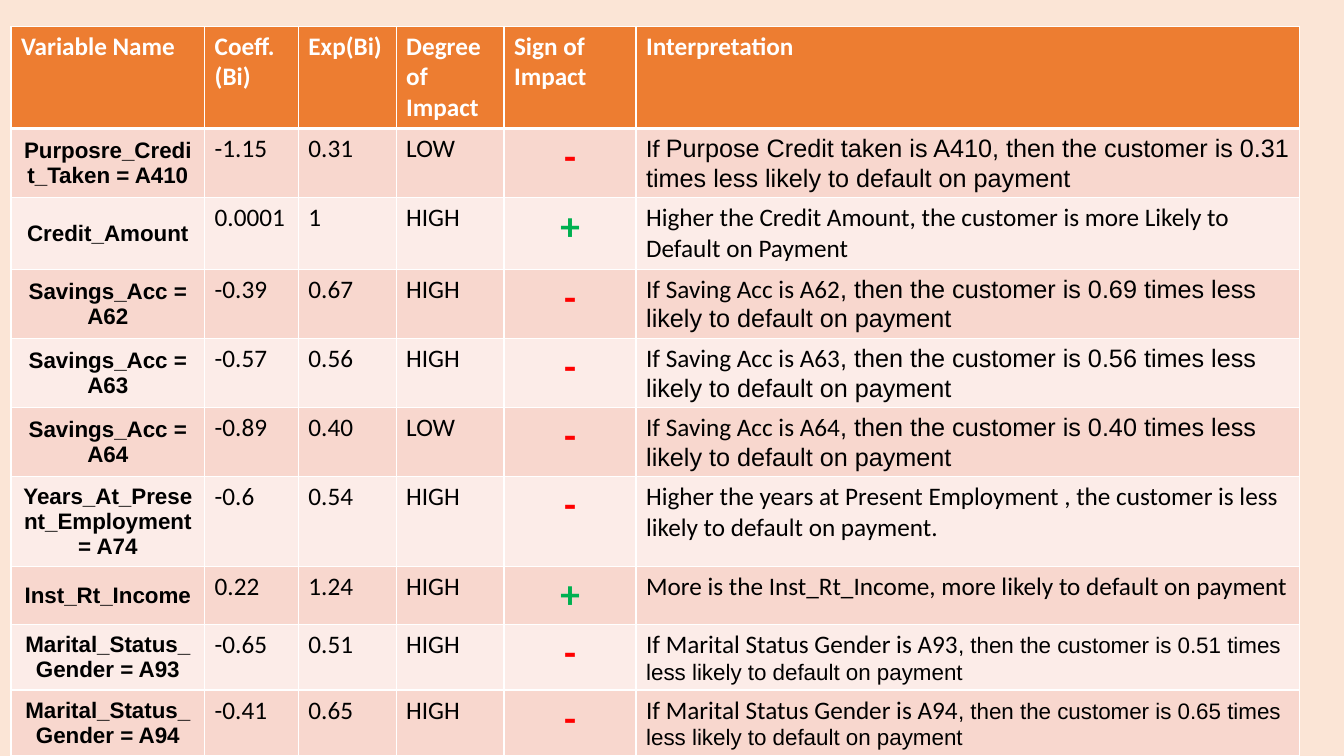
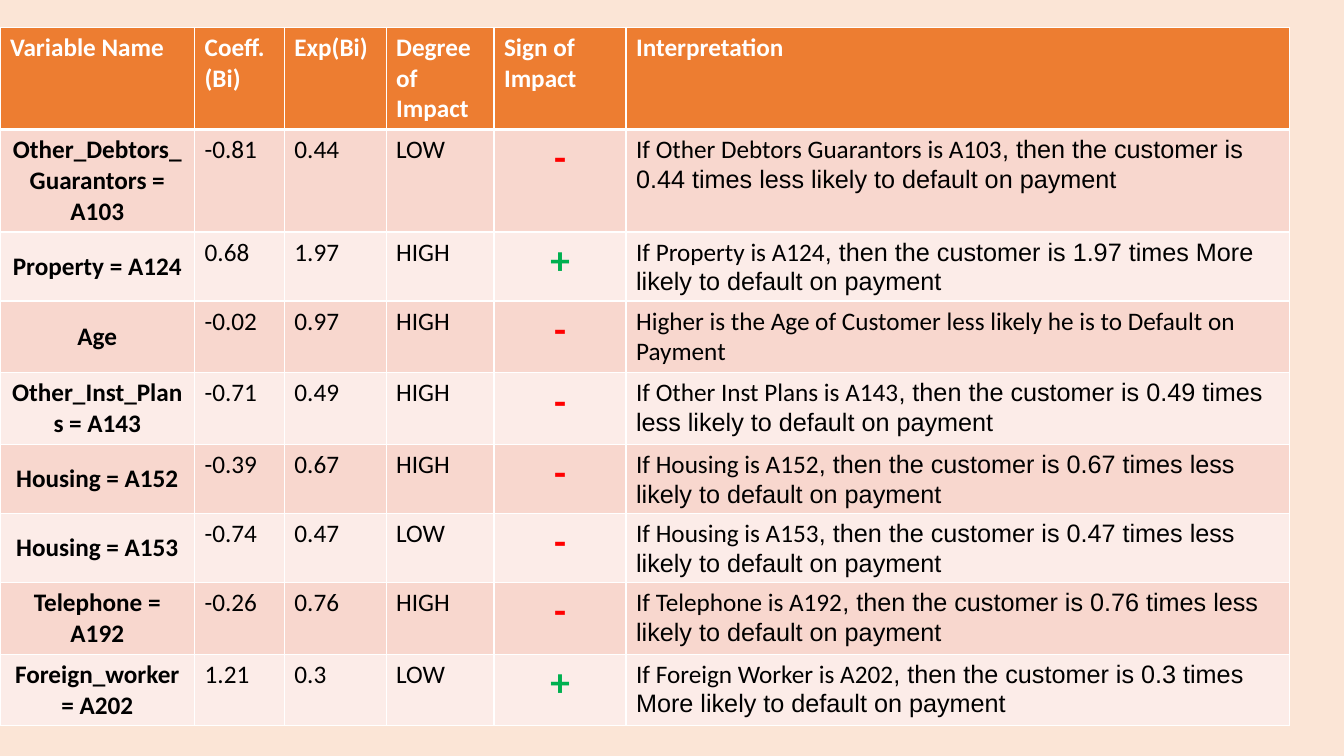
from dataclasses import dataclass

from lxml.etree import SubElement
from pptx import Presentation
from pptx.dml.color import RGBColor
from pptx.enum.text import MSO_ANCHOR as Anchor, PP_ALIGN as Align
from pptx.oxml.ns import qn
from pptx.util import Inches, Pt

COLORS = {
    "page": "FBE5D6",
    "header": "ED7D31",
    "band_dark": "F8D7CE",
    "band_light": "FCECE8",
    "white": "FFFFFF",
    "black": "000000",
    "-": "FF0000",
    "+": "00B050",
}
SANS, BODY = "Arial", "Calibri"
HEADERS = ["Variable Name", "Coeff.\n(Bi)", "Exp(Bi)", "Degree of Impact",
           "Sign of Impact", "Interpretation"]
NAME, SIGN, MEANING = 0, 4, 5


@dataclass
class Span:
    """A stretch of text in one format."""
    text: str
    font: str = BODY
    size: int = 18
    bold: bool = False
    color: str = "black"


def color(name):
    """Look up a palette colour."""
    return RGBColor.from_string(COLORS[name])


def odds(subject, times, trend="less", size=18):
    """Word the effect of a category on the chance of default."""
    tail = (f", then the customer is {times} times {trend} "
            "likely to default on payment")
    return [Span(f"If {subject}"), Span(tail, SANS, size)]


def set_borders(cell, top=1, bottom=1):
    """Draw white rules around a cell, with widths in points."""
    properties = cell._tc.get_or_add_tcPr()
    for side, width in (("L", 1), ("R", 1), ("T", top), ("B", bottom)):
        line = SubElement(properties, qn(f"a:ln{side}"), w=str(Pt(width)))
        fill = SubElement(line, qn("a:solidFill"))
        SubElement(fill, qn("a:srgbClr"), val=COLORS["white"])


def write_cell(cell, paragraphs, fill, align=Align.LEFT, anchor=Anchor.TOP):
    """Fill a cell with a colour and with paragraphs made of spans."""
    cell.fill.solid()
    cell.fill.fore_color.rgb = color(fill)
    cell.vertical_anchor = anchor
    frame = cell.text_frame
    for index, spans in enumerate(paragraphs):
        para = frame.add_paragraph() if index else frame.paragraphs[0]
        para.alignment = align
        for span in spans:
            run = para.add_run()
            run.text = span.text
            run.font.name = span.font
            run.font.size = Pt(span.size)
            run.font.bold = span.bold
            run.font.color.rgb = color(span.color)


def add_header(table):
    """Write the orange heading row."""
    for column, heading in enumerate(HEADERS):
        cell = table.cell(0, column)
        set_borders(cell, bottom=3)
        write_cell(cell, [[Span(line, bold=True, color="white")]
                          for line in heading.split("\n")], "header")


def add_variable(table, row, values, name_font, name_size):
    """Write one banded row that describes a model variable."""
    fill = "band_dark" if row % 2 else "band_light"
    for column, value in enumerate(values):
        cell = table.cell(row, column)
        set_borders(cell, top=3 if row == 1 else 1)
        if column == NAME:
            span = Span(value, name_font, name_size, bold=True)
            write_cell(cell, [[span]], fill, Align.CENTER, Anchor.MIDDLE)
        elif column == SIGN:
            span = Span(value, size=28, bold=True, color=value)
            write_cell(cell, [[span]], fill, Align.CENTER)
        elif column == MEANING and isinstance(value, list):
            write_cell(cell, [value], fill)
        else:
            write_cell(cell, [[Span(value)]], fill)


def add_variables_slide(deck, box, widths, heights, variables,
                        name_font, name_size):
    """Add a page whose table of variables starts at the given box."""
    page = deck.slides.add_slide(deck.slide_layouts[6])
    page.background.fill.solid()
    page.background.fill.fore_color.rgb = color("page")
    table = page.shapes.add_table(len(variables) + 1, len(HEADERS),
                                  *map(Inches, box)).table
    table.horz_banding = False
    for column, width in zip(table.columns, widths):
        column.width = Inches(width)
    for row, height in zip(table.rows, heights):
        row.height = Inches(height)
    add_header(table)
    for row, values in enumerate(variables, start=1):
        add_variable(table, row, values, name_font, name_size)


CREDIT_VARIABLES = [
    ("Purposre_Credit_Taken = A410", "-1.15", "0.31", "LOW", "-",
     [Span("If "), Span("Purpose Credit taken is A410, then the customer is "
                        "0.31 times less likely to default on payment", SANS)]),
    ("Credit_Amount", "0.0001", "1", "HIGH", "+",
     "Higher the Credit Amount, the customer is more Likely to "
     "Default on Payment"),
    ("Savings_Acc = A62", "-0.39", "0.67", "HIGH", "-",
     odds("Saving Acc is A62", "0.69")),
    ("Savings_Acc = A63", "-0.57", "0.56", "HIGH", "-",
     odds("Saving Acc is A63", "0.56")),
    ("Savings_Acc = A64", "-0.89", "0.40", "LOW", "-",
     odds("Saving Acc is A64", "0.40")),
    ("Years_At_Present_Employment = A74", "-0.6", "0.54", "HIGH", "-",
     "Higher the years at Present Employment , the customer is less "
     "likely to default on payment."),
    ("Inst_Rt_Income", "0.22", "1.24", "HIGH", "+",
     "More is the Inst_Rt_Income, more likely to default on payment"),
    ("Marital_Status_Gender = A93", "-0.65", "0.51", "HIGH", "-",
     odds("Marital Status Gender is A93", "0.51", size=16)),
    ("Marital_Status_Gender = A94", "-0.41", "0.65", "HIGH", "-",
     odds("Marital Status Gender is A94", "0.65", size=16)),
]
HOUSEHOLD_VARIABLES = [
    ("Other_Debtors_Guarantors = A103", "-0.81", "0.44", "LOW", "-",
     odds("Other Debtors Guarantors is A103", "0.44")),
    ("Property = A124", "0.68", "1.97", "HIGH", "+",
     odds("Property is A124", "1.97", "More")),
    ("Age", "-0.02", "0.97", "HIGH", "-",
     "Higher is the Age of Customer less likely he is to Default on Payment"),
    ("Other_Inst_Plans = A143", "-0.71", "0.49", "HIGH", "-",
     odds("Other Inst Plans is A143", "0.49")),
    ("Housing = A152", "-0.39", "0.67", "HIGH", "-",
     odds("Housing is A152", "0.67")),
    ("Housing = A153", "-0.74", "0.47", "LOW", "-",
     odds("Housing is A153", "0.47")),
    ("Telephone = A192", "-0.26", "0.76", "HIGH", "-",
     odds("Telephone is A192", "0.76")),
    ("Foreign_worker = A202", "1.21", "0.3", "LOW", "+",
     odds("Foreign Worker is A202", "0.3", "More")),
]

deck = Presentation()
deck.slide_width, deck.slide_height = Inches(13.33), Inches(7.5)
add_variables_slide(
    deck, (0.11, 0.26, 12.78, 7.3), [1.92, 0.93, 0.97, 1.07, 1.31, 6.58],
    [0.62, 0.5, 0.5, 0.5, 0.52, 0.52, 0.89, 0.5, 0.5, 0.5],
    CREDIT_VARIABLES, SANS, 16)
add_variables_slide(
    deck, (0, 0.27, 12.78, 6.9), [1.93, 0.89, 1.01, 1.07, 1.31, 6.58],
    [0.62, 0.5, 0.5, 0.5, 0.52, 0.52, 0.5, 0.5, 0.5],
    HOUSEHOLD_VARIABLES, BODY, 18)
deck.save("out.pptx")
